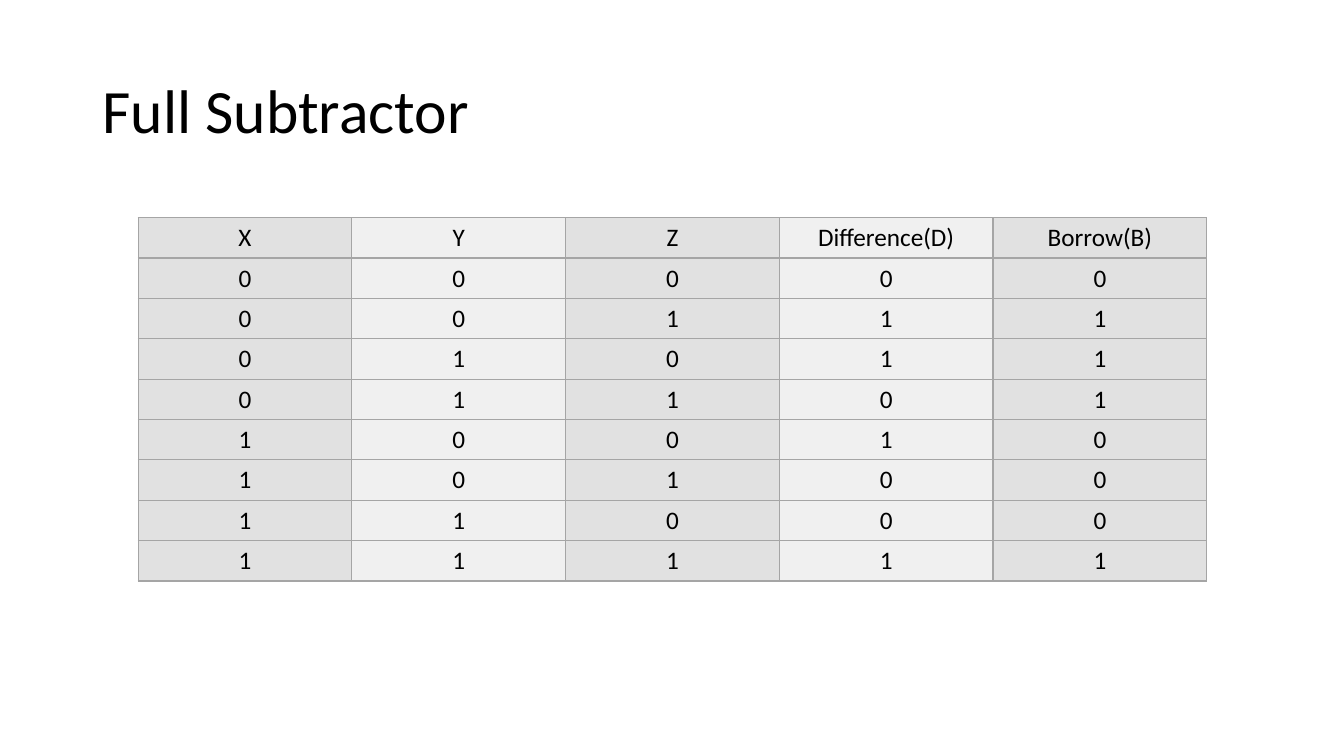
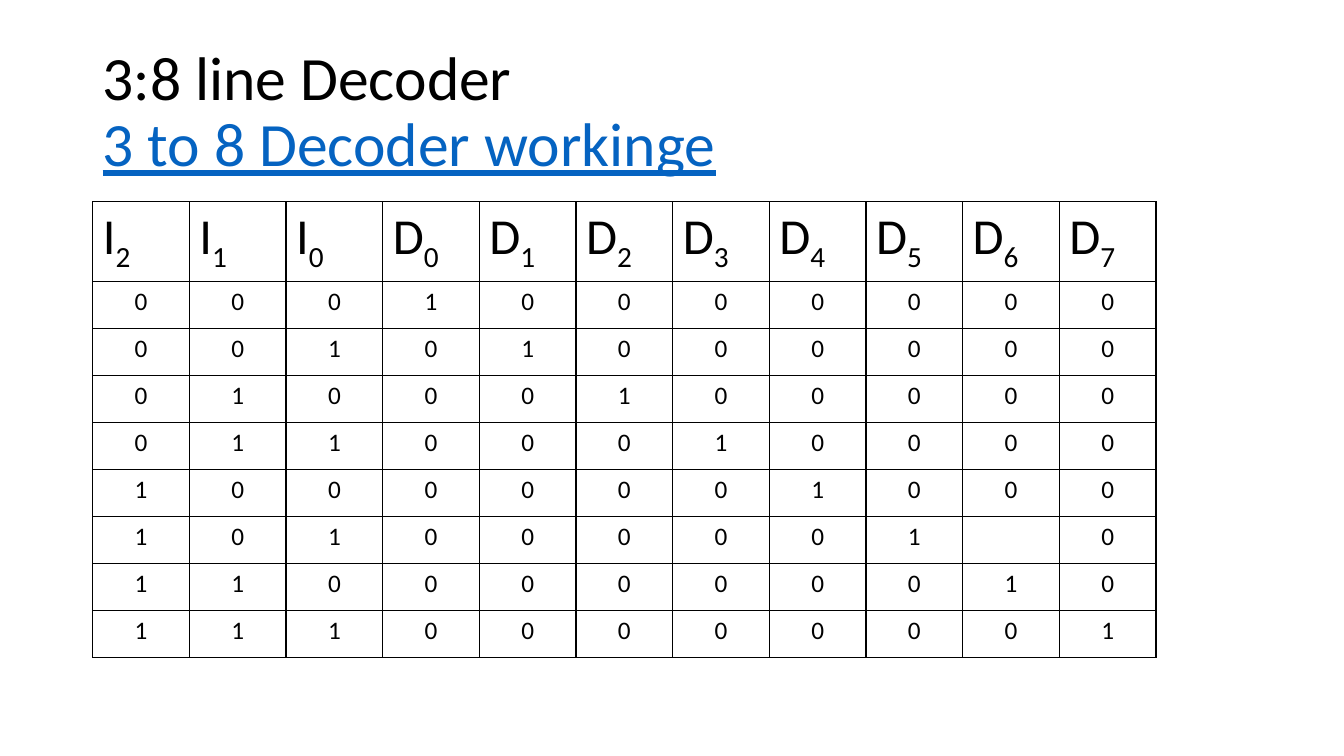
"""Build two truth-table slides: a full subtractor and a 3:8 line decoder."""
import itertools
from dataclasses import dataclass

import lxml.etree
import pptx
import pptx.dml.color
import pptx.enum.text
import pptx.oxml.ns
import pptx.util


@dataclass(frozen=True)
class Theme:
    font: str = "Calibri"
    ink: str = "000000"
    link: str = "0563C1"
    paper: str = "FFFFFF"
    dark_band: str = "E1E1E1"
    light_band: str = "F0F0F0"
    soft_border: str = "A5A5A5"
    title_size: int = 44
    symbol_size: int = 36
    body_size: int = 18
    border_width: int = 1


THEME = Theme()
WIDTH = pptx.util.Inches(13.33)
HEIGHT = pptx.util.Inches(7.5)
GRID = 100
TITLE_AREA = (6.9, 5.33, 86.27, 19.33)
BITS = (0, 1)
CENTER = pptx.enum.text.PP_ALIGN.CENTER
LEFT = pptx.enum.text.PP_ALIGN.LEFT


def columns(count):
    return round(WIDTH * count / GRID)


def rows(count):
    return round(HEIGHT * count / GRID)


def place(area):
    left, top, width, height = area
    return columns(left), rows(top), columns(width), rows(height)


def color(code):
    return pptx.dml.color.RGBColor.from_string(code)


def style_span(span, size, code=THEME.ink):
    span.font.name = THEME.font
    span.font.size = pptx.util.Pt(size)
    span.font.color.rgb = color(code)


def add_slide(deck):
    page = deck.slides.add_slide(deck.slide_layouts[6])
    page.background.fill.solid()
    page.background.fill.fore_color.rgb = color(THEME.paper)
    return page


def add_title(page, heading, link_line=None):
    box = page.shapes.add_textbox(*place(TITLE_AREA))
    frame = box.text_frame
    frame.word_wrap = True
    frame.vertical_anchor = pptx.enum.text.MSO_ANCHOR.MIDDLE
    para = frame.paragraphs[0]
    para.text = f"{heading}\v{link_line}" if link_line else heading
    para.line_spacing = 0.9
    for span in para.runs:
        style_span(span, THEME.title_size)
    if link_line:
        span.font.color.rgb = color(THEME.link)
        span.font.underline = True


def add_borders(cell, code):
    properties = cell._tc.get_or_add_tcPr()
    for side in ("lnL", "lnR", "lnT", "lnB"):
        line = lxml.etree.SubElement(properties, pptx.oxml.ns.qn(f"a:{side}"))
        line.set("w", str(pptx.util.Pt(THEME.border_width)))
        fill = lxml.etree.SubElement(line, pptx.oxml.ns.qn("a:solidFill"))
        lxml.etree.SubElement(fill, pptx.oxml.ns.qn("a:srgbClr")).set("val", code)


def fill_cell(cell, text, size, align, subscript=""):
    para = cell.text_frame.paragraphs[0]
    para.text = text
    para.alignment = align
    if subscript:
        low = para.add_run()
        low.text = subscript
        low._r.get_or_add_rPr().set("baseline", "-25000")
    for span in para.runs:
        style_span(span, size)


def add_grid_table(page, area, row_count, column_count, header_height, fills, border):
    frame = page.shapes.add_table(row_count, column_count, *place(area))
    table = frame.table
    table.first_row = table.horz_banding = False
    width, height = area[2:]
    for column in table.columns:
        column.width = columns(width / column_count)
    for row in table.rows:
        row.height = rows((height - header_height) / (row_count - 1))
    table.rows[0].height = rows(header_height)
    for row in table.rows:
        for cell, code in zip(row.cells, itertools.cycle(fills)):
            add_borders(cell, border)
            cell.fill.solid()
            cell.fill.fore_color.rgb = color(code)
    return table


def fill_body(table, records):
    for index, record in enumerate(records, start=1):
        for column, value in enumerate(record):
            fill_cell(table.cell(index, column), str(value), THEME.body_size, CENTER)


def subtractor_records():
    return [(x, y, z, x ^ y ^ z, int(x < y + z))
            for x, y, z in itertools.product(BITS, repeat=3)]


def decoder_records():
    records = []
    for active, inputs in enumerate(itertools.product(BITS, repeat=3)):
        records.append([*inputs, *(int(line == active) for line in range(8))])
    records[5][9] = ""
    return records


def add_subtractor_slide(deck):
    page = add_slide(deck)
    add_title(page, "Full Subtractor")
    labels = ("X", "Y", "Z", "Difference(D)", "Borrow(B)")
    table = add_grid_table(page, (10.28, 28.8, 79.52, 48), 9, len(labels), 48 / 9,
                           (THEME.dark_band, THEME.light_band), THEME.soft_border)
    for column, label in enumerate(labels):
        fill_cell(table.cell(0, column), label, THEME.body_size, CENTER)
    fill_body(table, subtractor_records())


def add_decoder_slide(deck):
    page = add_slide(deck)
    add_title(page, "3:8 line Decoder", "3 to 8 Decoder workinge")
    symbols = [("I", n) for n in (2, 1, 0)] + [("D", n) for n in range(8)]
    table = add_grid_table(page, (6.9, 26.67, 79.14, 60.27), 9, len(symbols), 10.53,
                           (THEME.paper,), THEME.ink)
    for column, (letter, number) in enumerate(symbols):
        fill_cell(table.cell(0, column), letter, THEME.symbol_size, LEFT, str(number))
    fill_body(table, decoder_records())


def main():
    deck = pptx.Presentation()
    deck.slide_width, deck.slide_height = WIDTH, HEIGHT
    add_subtractor_slide(deck)
    add_decoder_slide(deck)
    deck.save("out.pptx")


if __name__ == "__main__":
    main()
